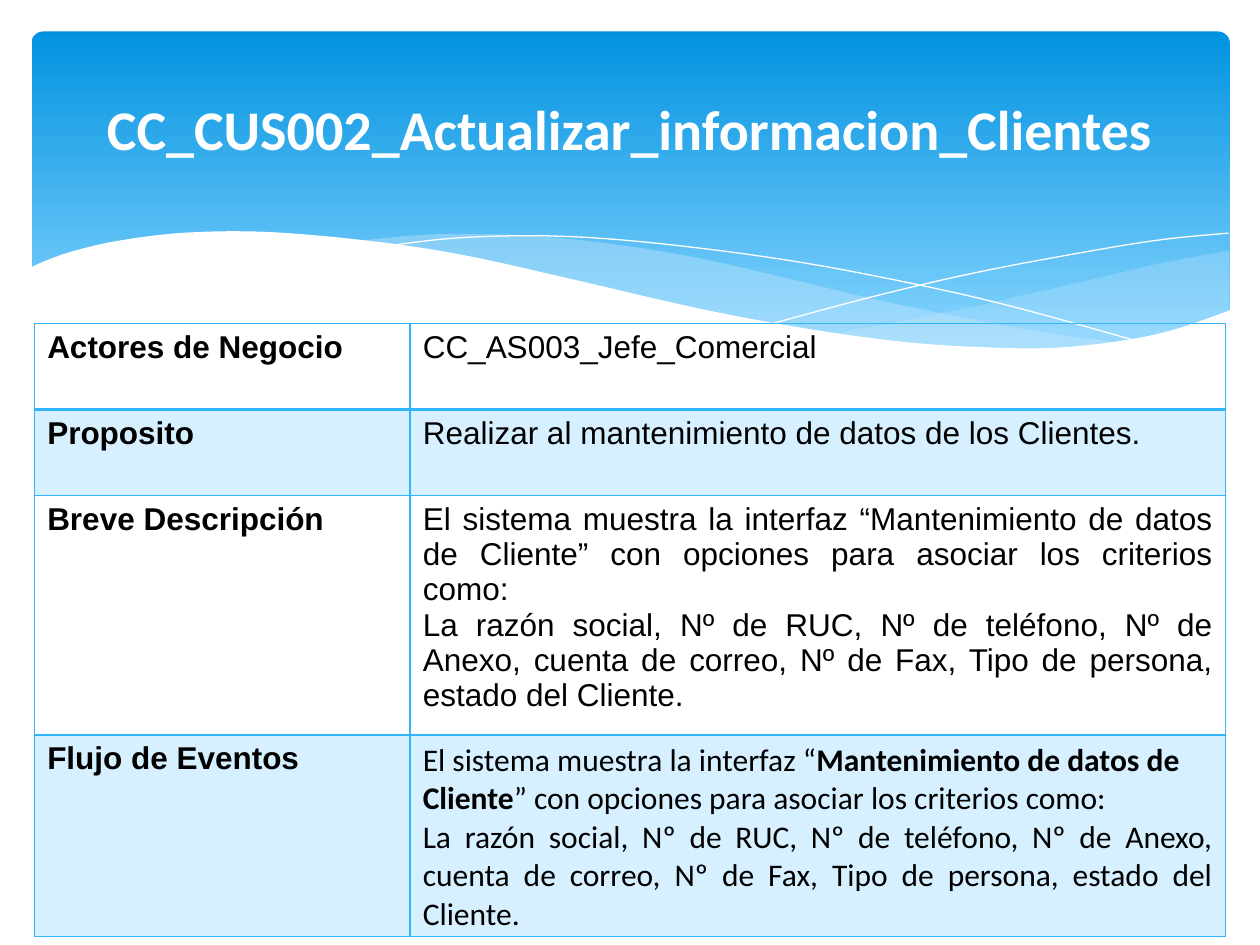
"""Build the use-case slide: a wave banner with a title above a table of details."""
import dataclasses
import typing

import lxml.etree
import pptx
import pptx.dml.color
import pptx.enum.dml
import pptx.enum.shapes
import pptx.enum.text
import pptx.oxml.ns
import pptx.util

Pt = pptx.util.Pt
ALIGN = pptx.enum.text.PP_ALIGN
Point = tuple[float, float]


@dataclasses.dataclass(frozen=True)
class Theme:
    deep: str = "0293E0"
    pale: str = "83D3FE"
    wave: str = "C6E7FC"
    white: str = "FFFFFF"
    black: str = "000000"
    border: str = "31B6FD"
    band: str = "D6F0FF"
    title_font: str = "Calibri"
    body_font: str = "Arial"
    title_size: int = 32
    body_size: int = 18


@dataclasses.dataclass(frozen=True)
class Wave:
    edges: list[list[Point]]
    color: str
    opacity: int = 100
    filled: bool = True


@dataclasses.dataclass(frozen=True)
class Para:
    runs: list[tuple[str, bool]]
    justified: bool = False


@dataclasses.dataclass(frozen=True)
class Row:
    label: str
    paras: list[Para]
    font: str


THEME = Theme()
CRITERIA = ("La razón social, Nº de RUC, Nº de teléfono, Nº de Anexo, cuenta de correo, "
            "Nº de Fax, Tipo de persona, estado del Cliente.")
OPENING = "El sistema muestra la interfaz “"
SCREEN = "Mantenimiento de datos de Cliente"
CLOSING = "” con opciones para asociar los criterios como:"

WAVES = [
    Wave([[(702.5, 143.3), (663, 150.5), (620, 160.6), (561, 174.2), (508, 185), (476, 190.8)],
          [(476, 190.8), (517, 196.2), (562, 199.4), (601, 199.4), (640, 195.9), (668, 189.4),
           (702.5, 177.8)]], THEME.wave, 29),
    Wave([[(643, 196.6), (581, 187.2), (508, 172.8), (453, 159.8), (400, 147.6), (352, 139.7),
           (302, 134.6), (248, 133.9), (206, 137.5)],
          [(206, 137.5), (261, 146.2), (323, 159.8), (420, 181.4), (490, 193), (548, 198.7),
           (597, 200.2), (643, 196.6)]], THEME.wave, 40),
    Wave([[(222.5, 140.4), (261, 136), (312, 134.8), (367, 138.2), (438, 146.9), (500, 157.7),
           (572, 173.5), (653, 195.8)]], THEME.white, filled=False),
    Wave([[(441, 185), (500, 169.2), (559, 155.5), (624, 143.3), (665, 136.8), (702, 133.2)]],
         THEME.white, filled=False),
    Wave([[(703.4, 177.1), (670, 188.6), (639, 195), (603, 198.7), (571, 198.7), (523, 196),
           (466, 188.6), (400, 176.4), (322, 158.4), (263, 145.4), (210, 137.5), (152, 132.5),
           (105, 133), (68, 137.5), (42.5, 143.3), (26, 149), (16.6, 153.4)],
          [(16.6, 236.9), (703.4, 236.9)]], THEME.white),
]
ROWS = [
    Row("Actores de Negocio", [Para([("CC_AS003_Jefe_Comercial", False)])], THEME.body_font),
    Row("Proposito", [Para([("Realizar al mantenimiento de datos de los Clientes.", False)])],
        THEME.body_font),
    Row("Breve Descripción", [Para([(OPENING + SCREEN + CLOSING, False)], True),
                              Para([(CRITERIA, False)], True)], THEME.body_font),
    Row("Flujo de Eventos", [Para([(OPENING, False), (SCREEN, True), (CLOSING, False)]),
                             Para([(CRITERIA, False)], True)], THEME.title_font),
]


def rgb(color: str) -> pptx.dml.color.RGBColor:
    return pptx.dml.color.RGBColor.from_string(color)


def style(font: typing.Any, name: str, size: int, color: str) -> None:
    font.name, font.size = name, Pt(size)
    font.color.rgb = rgb(color)


def smooth(knots: list[Point], steps: int = 6) -> list[Point]:
    padded = [knots[0], *knots, knots[-1]]
    points = [knots[0]]
    for a, b, c, d in zip(padded, padded[1:], padded[2:], padded[3:]):
        for t in (i / steps for i in range(1, steps + 1)):
            x, y = (q + t / 2 * (r - p + t * (2 * p - 5 * q + 4 * r - s
                                              + t * (3 * (q - r) + s - p)))
                    for p, q, r, s in zip(a, b, c, d))
            points.append((x, y))
    return points


def draw_banner(slide: typing.Any) -> None:
    sp = slide.shapes.add_shape(pptx.enum.shapes.MSO_SHAPE.ROUNDED_RECTANGLE,
                                Pt(18), Pt(18), Pt(684.7), Pt(194.4))
    sp.adjustments[0] = 0.034
    sp.shadow.inherit = False
    sp.line.fill.background()
    sp.fill.gradient()
    sp.fill.gradient_angle = 270
    for stop, color, position in zip(sp.fill.gradient_stops, (THEME.deep, THEME.pale), (0, 0.9)):
        stop.color.rgb = rgb(color)
        stop.position = position


def draw_wave(slide: typing.Any, wave: Wave) -> None:
    points = [(Pt(x), Pt(y)) for edge in wave.edges for x, y in smooth(edge)]
    builder = slide.shapes.build_freeform(*points[0])
    builder.add_line_segments(points[1:], close=wave.filled)
    sp = builder.convert_to_shape()
    sp.shadow.inherit = False
    if not wave.filled:
        sp.fill.background()
        sp.line.color.rgb = rgb(wave.color)
        sp.line.width = Pt(0)
        return
    sp.line.fill.background()
    sp.fill.solid()
    sp.fill.fore_color.rgb = rgb(wave.color)
    if wave.opacity < 100:
        clr = sp.fill._xPr.find(".//" + pptx.oxml.ns.qn("a:srgbClr"))
        lxml.etree.SubElement(clr, pptx.oxml.ns.qn("a:alpha"), val=str(wave.opacity * 1000))


def draw_title(slide: typing.Any, text: str) -> None:
    tf = slide.shapes.add_textbox(Pt(36), Pt(26.6), Pt(648), Pt(98.6)).text_frame
    tf.word_wrap = True
    tf.vertical_anchor = pptx.enum.text.MSO_ANCHOR.MIDDLE
    p = tf.paragraphs[0]
    p.text, p.alignment, p.line_spacing = text, ALIGN.CENTER, 0.9
    style(p.font, THEME.title_font, THEME.title_size, THEME.white)
    p.font.bold = True


def set_borders(cell: typing.Any, top: float, bottom: float) -> None:
    qn = pptx.oxml.ns.qn
    tc_pr = cell._tc.get_or_add_tcPr()
    for i, (side, width) in enumerate((("L", 1), ("R", 1), ("T", top), ("B", bottom))):
        ln = lxml.etree.Element(qn(f"a:ln{side}"), w=str(Pt(width)))
        fill = lxml.etree.SubElement(ln, qn("a:solidFill"))
        lxml.etree.SubElement(fill, qn("a:srgbClr"), val=THEME.border)
        tc_pr.insert(i, ln)


def fill_cell(cell: typing.Any, paras: list[Para], font: str) -> None:
    tf = cell.text_frame
    for i, para in enumerate(paras):
        p = tf.add_paragraph() if i else tf.paragraphs[0]
        if para.justified:
            p.alignment = ALIGN.JUSTIFY
        style(p.font, font, THEME.body_size, THEME.black)
        for text, bold in para.runs:
            r = p.add_run()
            r.text, r.font.bold = text, bold


def draw_table(slide: typing.Any, rows: list[Row]) -> None:
    height = 49.2
    table = slide.shapes.add_table(len(rows), 2, Pt(19.8), Pt(184.8), Pt(680.4),
                                   Pt(height * len(rows))).table
    table.columns[0].width, table.columns[1].width = Pt(214.6), Pt(465.8)
    for i, row in enumerate(rows):
        fill_cell(table.cell(i, 0), [Para([(row.label, True)])], THEME.body_font)
        fill_cell(table.cell(i, 1), row.paras, row.font)
        for cell in table.rows[i].cells:
            if i % 2:
                cell.fill.solid()
                cell.fill.fore_color.rgb = rgb(THEME.band)
            else:
                cell.fill.background()
            set_borders(cell, 2 if i == 1 else 1, 2 if i == 0 else 1)


def main() -> None:
    prs = pptx.Presentation()
    prs.slide_width, prs.slide_height = Pt(720), Pt(540)
    slide = prs.slides.add_slide(prs.slide_layouts[6])
    draw_banner(slide)
    for wave in WAVES:
        draw_wave(slide, wave)
    draw_title(slide, "CC_CUS002_Actualizar_informacion_Clientes")
    draw_table(slide, ROWS)
    prs.save("out.pptx")


if __name__ == "__main__":
    main()
